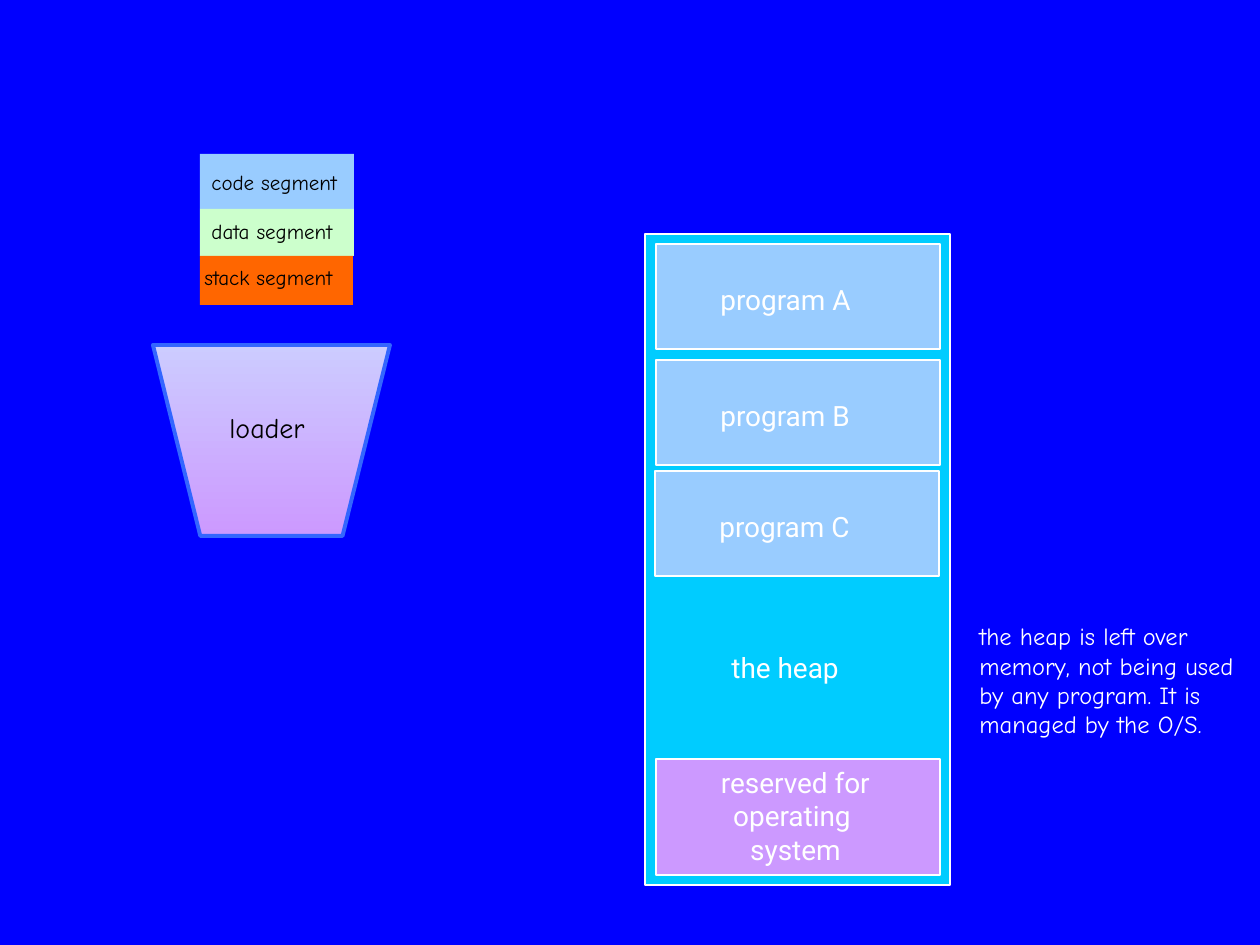
from pptx import Presentation
from pptx.dml.color import RGBColor
from pptx.enum.shapes import MSO_SHAPE
from pptx.enum.text import MSO_AUTO_SIZE, PP_ALIGN
from pptx.util import Emu, Pt

RECTANGLE = MSO_SHAPE.RECTANGLE
FUNNEL = MSO_SHAPE.FLOWCHART_MANUAL_OPERATION
FIT_SHAPE = MSO_AUTO_SIZE.SHAPE_TO_FIT_TEXT
LEFT, CENTER = PP_ALIGN.LEFT, PP_ALIGN.CENTER

PX = 914400 / 126
WHITE, BLACK = "FFFFFF", "000000"
SKY, VIOLET = "99CCFF", "CC99FF"

MEMORY_TEXT = {"name": "Roboto", "size": Pt(16), "color": WHITE}
LOADER_TEXT = {"name": "Comic Neue", "size": Pt(16), "color": BLACK}
SEGMENT_TEXT = {"name": "Comic Neue", "size": Pt(12), "color": BLACK}
NOTE_TEXT = {"name": "Comic Neue", "size": Pt(14), "color": WHITE}


def color(hex_string):
    return RGBColor.from_string(hex_string)


def emu(box):
    return [Emu(round(value * PX)) for value in box]


def add_block(shapes, box, fill=None, line=None, line_width=0.75, kind=RECTANGLE):
    shape = shapes.add_shape(kind, *emu(box))
    shape.shadow.inherit = False
    if fill:
        shape.fill.solid()
        shape.fill.fore_color.rgb = color(fill)
    if line:
        shape.line.color.rgb = color(line)
        shape.line.width = Pt(line_width)
    else:
        shape.line.fill.background()
    return shape


def add_label(shapes, box, lines, text_format, alignment=LEFT):
    frame = shapes.add_textbox(*emu(box)).text_frame
    frame.word_wrap = False
    frame.auto_size = FIT_SHAPE
    frame.text = "\n".join(lines)
    for paragraph in frame.paragraphs:
        paragraph.alignment = alignment
        font = paragraph.runs[0].font
        for name, value in text_format.items():
            if name == "color":
                font.color.rgb = color(value)
            else:
                setattr(font, name, value)


def add_program(shapes, left, top, name):
    add_block(shapes, (left, top, 284, 105), SKY, WHITE)
    add_label(shapes, (left + 52, top + 32, 156, 47), [name], MEMORY_TEXT)


def add_memory(shapes, left, top):
    add_block(shapes, (left, top, 305, 651), "00CCFF", WHITE)
    add_block(shapes, (left + 11, top + 525, 284, 116), VIOLET, WHITE)
    add_label(shapes, (left + 63, top + 525, 175, 113),
              ["reserved for", "operating ", "system"], MEMORY_TEXT, CENTER)
    add_program(shapes, left + 11, top + 10, "program A")
    add_program(shapes, left + 11, top + 126, "program B")
    add_label(shapes, (left + 74, top + 410, 134, 47), ["the heap"], MEMORY_TEXT)
    program_c = shapes.add_group_shape()
    add_program(program_c.shapes, left + 10, top + 237, "program C")


def add_executable(shapes, left, top):
    """Stack the three segments of the program waiting to be loaded."""
    # name, fill, top, width, height, label left, label top, label width
    segments = [
        ("code segment", SKY, 0, 154, 55, -1, 9, 159),
        ("data segment", "CCFFCC", 55, 154, 47, -1, 58, 158),
        ("stack segment", "FF6600", 102, 153, 49, -8, 104, 166),
    ]
    group = shapes.add_group_shape().shapes
    for name, fill, y, width, height, label_x, label_y, label_width in segments:
        add_block(group, (left, top + y, width, height), fill)
        add_label(group, (left + label_x, top + label_y, label_width, 38),
                  [name], SEGMENT_TEXT)


def add_loader(shapes, left, top):
    funnel = add_block(shapes, (left, top, 237, 191), line="3366FF",
                       line_width=2.25, kind=FUNNEL)
    funnel.fill.gradient()
    funnel.fill.gradient_angle = 270
    for stop, position, shade in zip(funnel.fill.gradient_stops, (0, 1), ("CCCCFF", VIOLET)):
        stop.position = position
        stop.color.rgb = color(shade)
    add_label(shapes, (left + 64, top + 59, 107, 47), ["loader"], LOADER_TEXT)


def main():
    presentation = Presentation()
    presentation.slide_width, presentation.slide_height = emu((1260, 945))
    slide = presentation.slides.add_slide(presentation.slide_layouts[6])
    slide.background.fill.solid()
    slide.background.fill.fore_color.rgb = color("0000FF")

    add_memory(slide.shapes, 645, 234)
    add_label(slide.shapes, (967, 615, 292, 130),
              ["the heap is left over", "memory, not being used",
               "by any program. It is", "managed by the O/S."], NOTE_TEXT)
    add_executable(slide.shapes, 200, 154)
    add_loader(slide.shapes, 153, 345)
    presentation.save("out.pptx")


if __name__ == "__main__":
    main()
